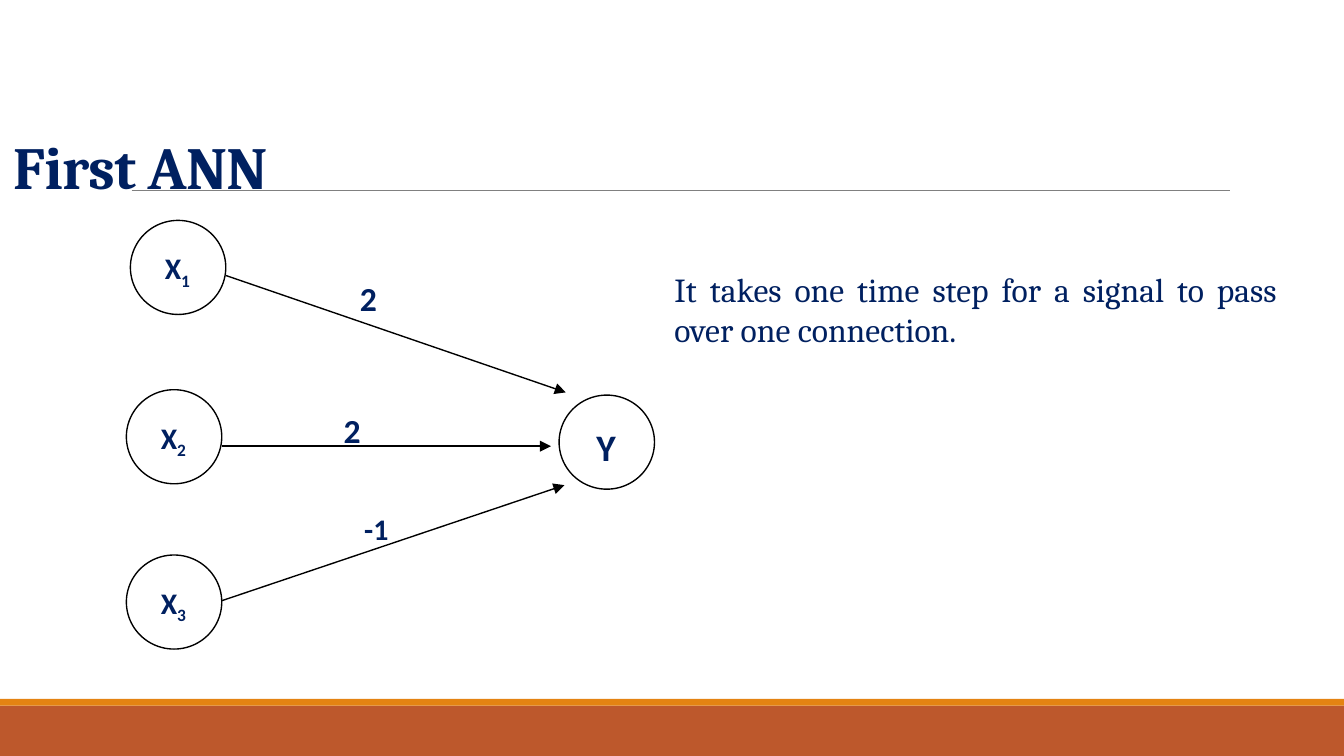
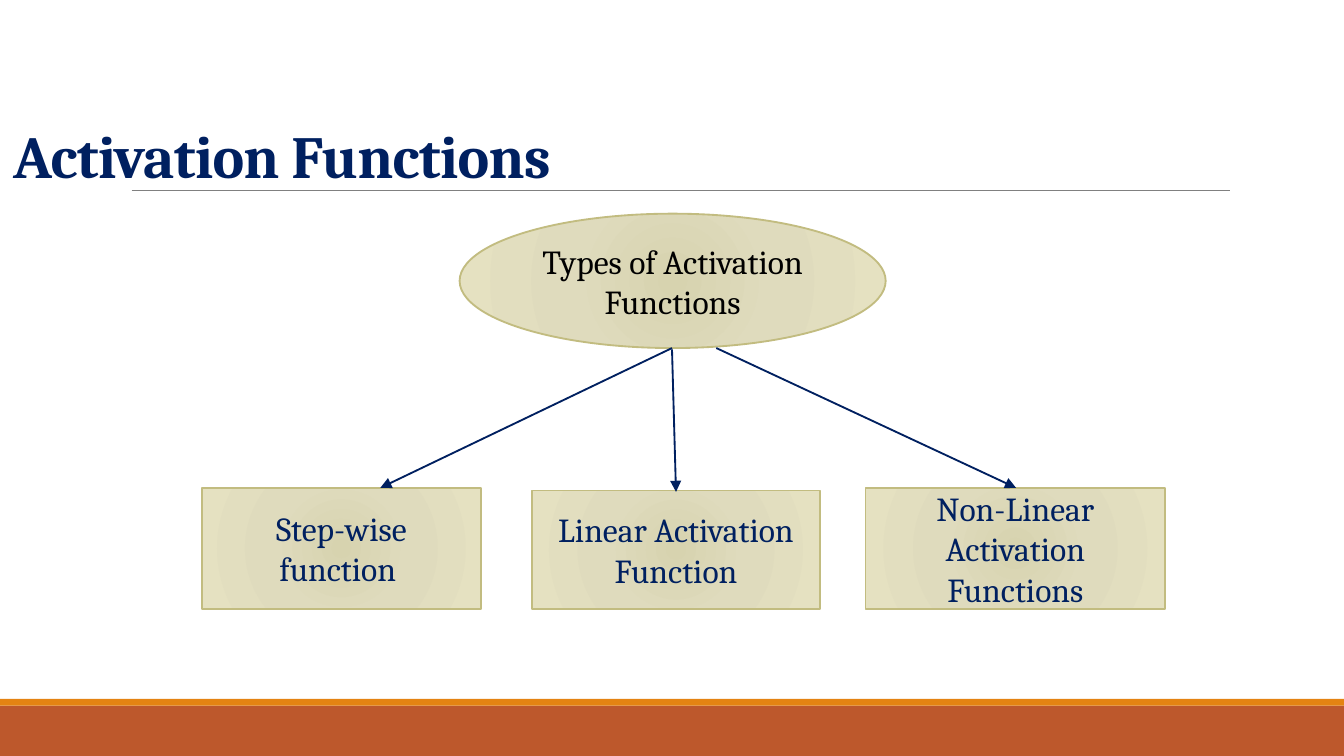
from lxml import etree
from pptx import Presentation
from pptx.dml.color import RGBColor
from pptx.enum.shapes import MSO_CONNECTOR, MSO_SHAPE
from pptx.enum.text import MSO_ANCHOR, PP_ALIGN
from pptx.oxml import parse_xml
from pptx.oxml.ns import qn
from pptx.util import Inches, Pt

RECT, OVAL = MSO_SHAPE.RECTANGLE, MSO_SHAPE.OVAL
STRAIGHT = MSO_CONNECTOR.STRAIGHT
LEFT, CENTER, JUSTIFY = PP_ALIGN.LEFT, PP_ALIGN.CENTER, PP_ALIGN.JUSTIFY
TOP, MIDDLE, BOTTOM = MSO_ANCHOR.TOP, MSO_ANCHOR.MIDDLE, MSO_ANCHOR.BOTTOM

NAVY = RGBColor(0x00, 0x20, 0x60)
BLACK = RGBColor(0x00, 0x00, 0x00)
GRAY = RGBColor(0x80, 0x80, 0x80)
RUST = RGBColor(0xBD, 0x58, 0x2C)
ORANGE = RGBColor(0xE4, 0x83, 0x12)
KHAKI = RGBColor(0xC2, 0xBC, 0x80)
SAND = [(0, "D7D3AF"), (45, "DFDBBD"), (100, "E5E1C1")]
SERIF, SANS = "Cambria", "Calibri"
WIDTH = 10
HEIGHT = WIDTH * 9 / 16

# Content of slide 1: places in inches
NODE = (0.71, 0.7)
NODES = [  # letter, subscript, size, left, top
    ("X", "1", 16, 0.97, 1.64),
    ("X", "2", 16, 0.94, 2.9),
    ("X", "3", 16, 0.94, 4.13),
    ("Y", "", 20, 4.16, 2.94),
]
LINKS = [
    ((1.68, 2.05), (4.21, 2.92)),
    ((1.65, 3.32), (4.1, 3.32)),
    ((1.65, 4.47), (4.2, 3.61)),
]
WEIGHTS = [  # text, size, box
    ("2", 18, (2.55, 2.02, 0.38, 0.33)),
    ("2", 18, (2.43, 3, 0.38, 0.33)),
    ("-1", 16, (2.48, 3.75, 0.64, 0.33)),
]
NOTE = "It takes one time step for a signal to pass over one connection."

# Content of slide 2
ROOT = ("Types of Activation Functions", (3.42, 1.59, 3.17, 1))
TYPES = [  # text, box, arrow start, arrow end
    ("Step-wise function ", (1.5, 3.63, 2.08, 0.9), (5, 2.59), (2.83, 3.63)),
    ("Linear Activation Function", (3.96, 3.65, 2.14, 0.88),
     (5, 2.6), (5.03, 3.66)),
    ("Non-Linear Activation Functions", (6.44, 3.63, 2.23, 0.9),
     (5.33, 2.59), (7.56, 3.63)),
]


def write(shape, text, size, face, color=NAVY, bold=False, align=CENTER,
          anchor=TOP):
    """Fill the first paragraph of a shape and return it."""
    frame = shape.text_frame
    frame.word_wrap = True
    frame.vertical_anchor = anchor
    para = frame.paragraphs[0]
    para.add_run().text = text
    para.alignment = align
    font = para.font
    font.name, font.size, font.bold = face, Pt(size), bold
    font.color.rgb = color
    return para


def label(slide, box, *args, **style):
    area = slide.shapes.add_textbox(*map(Inches, box))
    return write(area, *args, **style)


def draw(slide, kind, box, fill=None, line=None, width=0.75):
    shape = slide.shapes.add_shape(kind, *map(Inches, box))
    shape.shadow.inherit = False
    if fill is None:
        shape.fill.background()
    else:
        shape.fill.solid()
        shape.fill.fore_color.rgb = fill
    if line is None:
        shape.line.fill.background()
    else:
        shape.line.color.rgb = line
        shape.line.width = Pt(width)
    return shape


def connect(slide, start, end, color, width, arrow=True):
    line = slide.shapes.add_connector(STRAIGHT, *map(Inches, start + end))
    line.line.color.rgb = color
    line.line.width = Pt(width)
    props = line._element.spPr
    if arrow:
        etree.SubElement(props.find(qn("a:ln")), qn("a:tailEnd"),
                         type="triangle")
    etree.SubElement(props, qn("a:effectLst"))


def shade(shape):
    """Swap the fill for a round gradient."""
    stops = "".join(
        f'<a:gs pos="{pos * 1000}"><a:srgbClr val="{tone}"/></a:gs>'
        for pos, tone in SAND)
    grad = parse_xml(
        '<a:gradFill xmlns:a="http://schemas.openxmlformats.org/drawingml/'
        f'2006/main" rotWithShape="1"><a:gsLst>{stops}</a:gsLst>'
        '<a:path path="circle"><a:fillToRect l="100000" t="100000" '
        'r="100000" b="100000"/></a:path></a:gradFill>')
    props = shape._element.spPr
    props.replace(props.find(qn("a:noFill")), grad)


def panel(slide, kind, box, text, color=NAVY):
    shape = draw(slide, kind, box, line=KHAKI, width=1)
    shade(shape)
    write(shape, text, 18, SERIF, color, anchor=MIDDLE)


def begin(deck, title, top):
    """Add a slide with the shared bands, rule and title."""
    slide = deck.slides.add_slide(deck.slide_layouts[6])
    draw(slide, RECT, (0, 5.25, WIDTH, HEIGHT - 5.25), RUST)
    draw(slide, RECT, (0, 5.2, WIDTH, 0.05), ORANGE)
    connect(slide, (0.98, 1.42), (9.15, 1.42), GRAY, 0.5, arrow=False)
    para = label(slide, (0, top, WIDTH, 0.69), title, 32, SERIF,
                 bold=True, align=LEFT, anchor=BOTTOM)
    para.line_spacing = 0.85
    para.runs[0]._r.get_or_add_rPr().set("spc", "-40")
    return slide


def network(deck):
    slide = begin(deck, "First ANN", 0.86)
    for text, size, box in WEIGHTS:
        label(slide, box, text, size, SANS, bold=True)
    wide, high = NODE
    for name, sub, size, left, top in NODES:
        draw(slide, OVAL, (left, top, wide, high), line=BLACK)
        inner = (left + 0.08, top + 0.17, 0.54, 0.37)
        para = label(slide, inner, name, size, SANS, bold=True)
        if sub:
            run = para.add_run()
            run.text = sub
            run._r.get_or_add_rPr().set("baseline", "-25000")
    for start, end in LINKS:
        connect(slide, start, end, BLACK, 0.75)
    label(slide, (4.92, 1.95, 4.68, 0.71), NOTE, 18, SERIF, align=JUSTIFY)


def tree(deck):
    slide = begin(deck, "Activation Functions", 0.78)
    text, box = ROOT
    panel(slide, OVAL, box, text, BLACK)
    for text, box, start, end in TYPES:
        panel(slide, RECT, box, text)
        connect(slide, start, end, NAVY, 1)


def main():
    deck = Presentation()
    deck.slide_width, deck.slide_height = Inches(WIDTH), Inches(HEIGHT)
    network(deck)
    tree(deck)
    deck.save("out.pptx")


if __name__ == "__main__":
    main()
